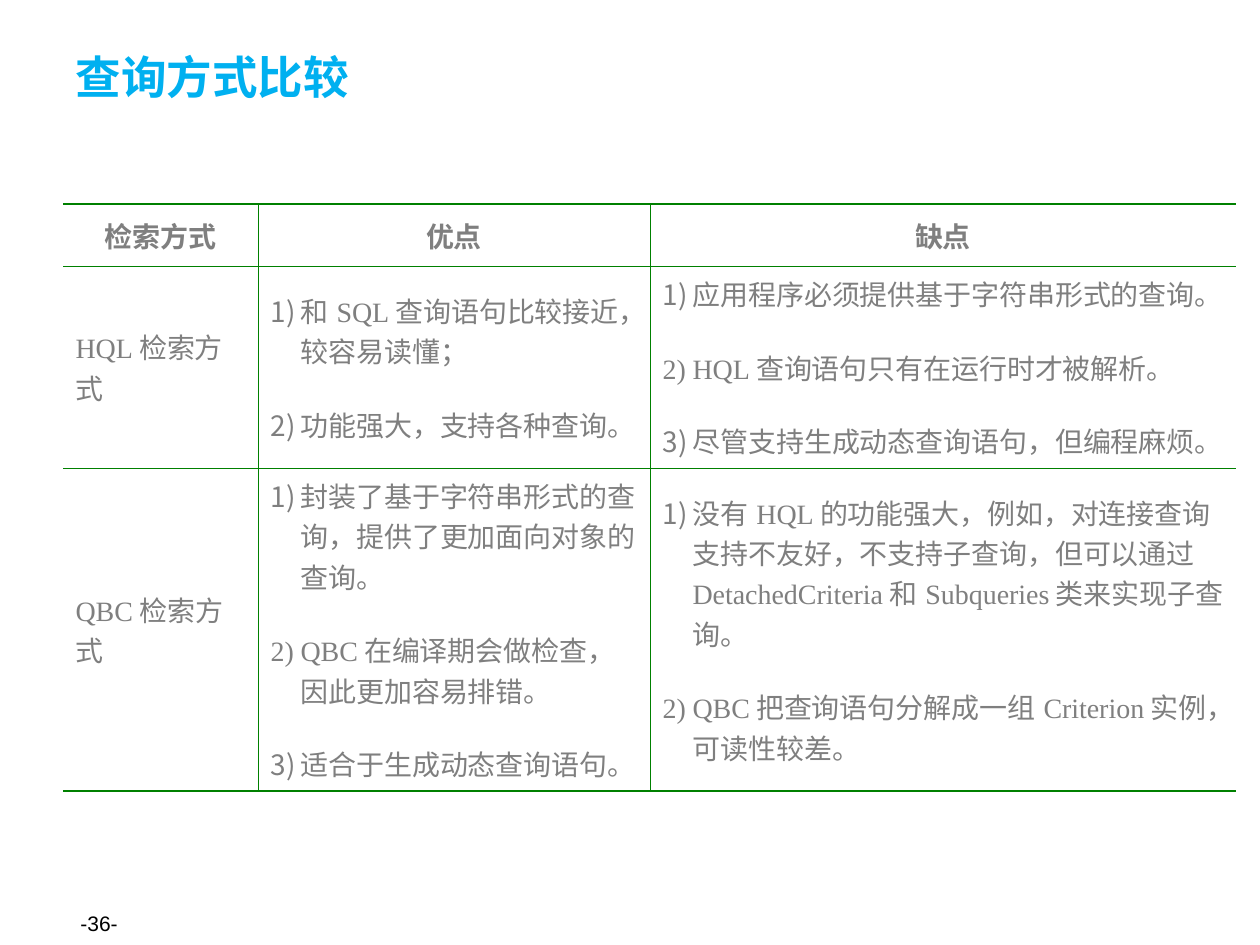
"""Build a slide comparing the HQL and QBC query styles in a table."""
from lxml.etree import SubElement
from pptx import Presentation
from pptx.dml.color import RGBColor
from pptx.enum.text import MSO_ANCHOR, PP_ALIGN
from pptx.oxml.ns import qn
from pptx.util import Pt

PX = 914400 / 126
CJK = "Noto Sans CJK SC"
GREY, GREEN = "7F7F7F", "008000"


def add_text(tf, text, size=16, font="Times New Roman", color=GREY, bold=False,
             align=PP_ALIGN.LEFT, numbered=False, first=True):
    p = tf.paragraphs[0] if first else tf.add_paragraph()
    if numbered:
        pPr = p._p.get_or_add_pPr()
        pPr.set("marL", str(int(30 * PX)))
        pPr.set("indent", str(int(-30 * PX)))
        SubElement(SubElement(pPr, qn("a:buClr")), qn("a:srgbClr"), val=color)
        SubElement(pPr, qn("a:buAutoNum"), type="arabicParenR")
    p.alignment = align
    if not first:
        p.space_before = Pt(19)
    r = p.add_run()
    r.text = text
    r.font.size, r.font.bold, r.font.name = Pt(size), bold, font
    r.font.color.rgb = RGBColor.from_string(color)
    SubElement(r._r.get_or_add_rPr(), qn("a:ea"), typeface=CJK)


def add_border(cell, side, width):
    ln = SubElement(cell._tc.get_or_add_tcPr(), qn(f"a:ln{side}"), w=str(int(Pt(width))))
    if width:
        SubElement(SubElement(ln, qn("a:solidFill")), qn("a:srgbClr"), val=GREEN)
    else:
        SubElement(ln, qn("a:noFill"))


prs = Presentation()
prs.slide_width, prs.slide_height = int(1260 * PX), int(945 * PX)
s = prs.slides.add_slide(prs.slide_layouts[5])

title = s.shapes.title
title.left, title.top, title.width, title.height = [int(v * PX) for v in (63, 38, 1134, 77)]
title.text_frame.vertical_anchor = MSO_ANCHOR.MIDDLE
add_text(title.text_frame, "查询方式比较", size=26, font=CJK, color="00B0F0", bold=True)

number = s.shapes.add_textbox(*[int(v * PX) for v in (68, 898, 294, 50)])
number.text_frame.word_wrap = True
number.text_frame.vertical_anchor = MSO_ANCHOR.MIDDLE
add_text(number.text_frame, "-36-", size=12, font="Arial", color="000000")

rows = [
    [["检索方式"], ["优点"], ["缺点"]],
    [["HQL检索方式"],
     ["和SQL查询语句比较接近，较容易读懂；", "功能强大，支持各种查询。"],
     ["应用程序必须提供基于字符串形式的查询。",
      "HQL查询语句只有在运行时才被解析。",
      "尽管支持生成动态查询语句，但编程麻烦。"]],
    [["QBC检索方式"],
     ["封装了基于字符串形式的查询，提供了更加面向对象的查询。",
      "QBC在编译期会做检查，因此更加容易排错。",
      "适合于生成动态查询语句。"],
     ["没有HQL的功能强大，例如，对连接查询支持不友好，不支持子查询，"
      "但可以通过DetachedCriteria和Subqueries类来实现子查询。",
      "QBC把查询语句分解成一组Criterion实例，可读性较差。"]],
]
widths, heights = [195, 392, 586], [62, 202, 323]
frame = s.shapes.add_table(3, 3, *[int(v * PX) for v in (63, 204, sum(widths), sum(heights))])
table = frame.table
table.first_row = table.horz_banding = False
for column, width in zip(table.columns, widths):
    column.width = int(width * PX)
for row, height in zip(table.rows, heights):
    row.height = int(height * PX)

for i, row in enumerate(rows):
    for j, items in enumerate(row):
        cell = table.cell(i, j)
        cell.vertical_anchor = MSO_ANCHOR.MIDDLE
        add_border(cell, "L", 0.45 if j > 0 else 0)
        add_border(cell, "R", 0.45 if j < 2 else 0)
        add_border(cell, "T", 0.45 if i > 0 else 1.08)
        add_border(cell, "B", 0.45 if i < 2 else 1.08)
        cell.fill.background()
        for k, item in enumerate(items):
            add_text(cell.text_frame, item, bold=i == 0, first=k == 0,
                     align=PP_ALIGN.LEFT if i else PP_ALIGN.CENTER,
                     numbered=i > 0 and j > 0)

prs.save("out.pptx")
